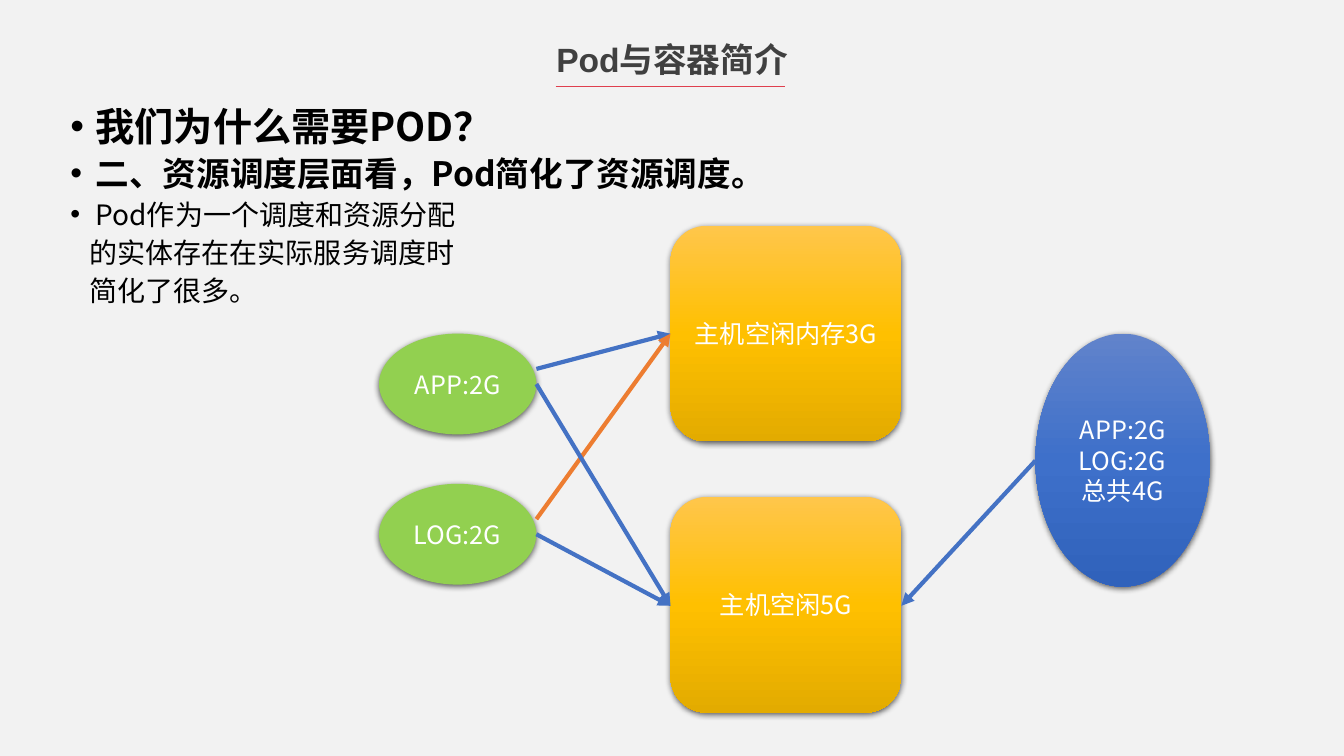
from lxml import etree
from pptx import Presentation
from pptx.dml.color import RGBColor
from pptx.enum.shapes import MSO_CONNECTOR, MSO_SHAPE
from pptx.enum.text import MSO_ANCHOR, PP_ALIGN
from pptx.oxml import parse_xml
from pptx.oxml.ns import nsdecls, qn
from pptx.util import Inches, Pt

ROUNDED = MSO_SHAPE.ROUNDED_RECTANGLE
OVAL = MSO_SHAPE.OVAL
STRAIGHT = MSO_CONNECTOR.STRAIGHT
CENTER = PP_ALIGN.CENTER
MIDDLE = MSO_ANCHOR.MIDDLE

CJK_FONT = "Noto Sans CJK SC"
COLORS = {
    "background": "F2F2F2",
    "title": "404040",
    "rule": "DF3F4E",
    "text": "000000",
    "label": "FFFFFF",
    "pod": "92D050",
    "blue": "4472C4",
    "orange": "ED7D31",
}
HOST_GRADIENT = ("FFC64B", "FFC000", "E3AB00")
GROUP_GRADIENT = ("6183CB", "3E70CA", "3062BB")


def rgb(name):
    return RGBColor.from_string(COLORS[name])


def write(para, text, size, color, font=CJK_FONT, bold=False, **formats):
    for name, value in formats.items():
        setattr(para, name, value)
    span = para.add_run()
    span.text = text
    for name, value in {"size": Pt(size), "bold": bold, "name": font}.items():
        setattr(span.font, name, value)
    span.font.color.rgb = rgb(color)
    east_asian = etree.SubElement(span.font._element, qn("a:ea"))
    east_asian.set("typeface", CJK_FONT)


def add_text_box(page, left, top, width, height):
    box = page.shapes.add_textbox(*map(Inches, (left, top, width, height)))
    box.text_frame.word_wrap = True
    return box.text_frame


def add_body(page, lines):
    frame = add_text_box(page, 0.6, 1.06, 12.13, 6)
    for index, (text, size, bold, bulleted) in enumerate(lines):
        para = frame.add_paragraph() if index else frame.paragraphs[0]
        write(para, text, size, "text", bold=bold, line_spacing=0.8, space_before=Pt(8))
        properties = para._p.get_or_add_pPr()
        properties.set("marL", str(Inches(0.25 if bulleted else 0.19)))
        properties.set("indent", str(Inches(-0.25 if bulleted else 0)))
        if bulleted:
            etree.SubElement(properties, qn("a:buFont")).set("typeface", "Arial")
            etree.SubElement(properties, qn("a:buChar")).set("char", "•")


def fill_gradient(shape, colors):
    stops = "".join(
        f'<a:gs pos="{index * 50000}"><a:srgbClr val="{color}"/></a:gs>'
        for index, color in enumerate(colors)
    )
    gradient = parse_xml(
        f'<a:gradFill {nsdecls("a")} rotWithShape="1"><a:gsLst>{stops}</a:gsLst>'
        '<a:lin ang="5400000" scaled="0"/></a:gradFill>'
    )
    shape._element.spPr.find(qn("a:prstGeom")).addnext(gradient)


def add_shadow(shape):
    shape.shadow.inherit = False
    shape._element.spPr.find(qn("a:effectLst")).append(parse_xml(
        f'<a:outerShdw {nsdecls("a")} blurRad="{Pt(4.5)}" dist="{Pt(1.5)}" '
        'dir="5400000" algn="ctr" rotWithShape="0">'
        '<a:srgbClr val="000000"><a:alpha val="63000"/></a:srgbClr></a:outerShdw>'
    ))


def add_node(page, kind, place, labels, gradient=None):
    node = page.shapes.add_shape(kind, *map(Inches, place))
    if gradient:
        fill_gradient(node, gradient)
    else:
        node.fill.solid()
        node.fill.fore_color.rgb = rgb("pod")
    node.line.fill.background()
    add_shadow(node)
    frame = node.text_frame
    frame.vertical_anchor = MIDDLE
    for index, label in enumerate(labels):
        para = frame.add_paragraph() if index else frame.paragraphs[0]
        write(para, label, 18, "label", alignment=CENTER)


def add_line(page, start, end, color, width, arrow=False):
    line = page.shapes.add_connector(STRAIGHT, *map(Inches, (*start, *end)))
    line.line.color.rgb = rgb(color)
    line.line.width = Pt(width)
    properties = line._element.spPr
    if arrow:
        outline = properties.find(qn("a:ln"))
        etree.SubElement(outline, qn("a:tailEnd")).set("type", "triangle")
    etree.SubElement(properties, qn("a:effectLst"))


def main():
    deck = Presentation()
    deck.slide_width, deck.slide_height = Inches(13.33), Inches(7.5)
    page = deck.slides.add_slide(deck.slide_layouts[6])
    page.background.fill.solid()
    page.background.fill.fore_color.rgb = rgb("background")

    title = add_text_box(page, 4.52, 0.34, 4.29, 0.5)
    write(title.paragraphs[0], "Pod与容器简介", 24, "title", "Arial", True, alignment=CENTER)
    add_line(page, (5.51, 0.86), (7.79, 0.86), "rule", 0.5)

    add_body(page, [
        ("我们为什么需要POD？", 28, True, True),
        ("二、资源调度层面看，Pod简化了资源调度。", 24, True, True),
        ("Pod作为一个调度和资源分配", 20, False, True),
        ("的实体存在在实际服务调度时", 20, False, False),
        ("简化了很多。", 20, False, False),
    ])

    for top, label in ((2.24, "主机空闲内存3G"), (4.93, "主机空闲5G")):
        add_node(page, ROUNDED, (6.65, top, 2.29, 2.14), [label], HOST_GRADIENT)
    for top, label in ((3.31, "APP:2G"), (4.8, "LOG:2G")):
        add_node(page, OVAL, (3.76, top, 1.56, 1), [label])
    group_labels = ["APP:2G", "LOG:2G", "总共4G"]
    add_node(page, OVAL, (10.27, 3.31, 1.73, 2.51), group_labels, GROUP_GRADIENT)

    upper_host, lower_host = (6.65, 3.31), (6.65, 6.01)
    for start, end, color in (
        ((5.32, 3.66), upper_host, "blue"),
        ((5.32, 5.15), upper_host, "orange"),
        ((5.32, 3.81), lower_host, "blue"),
        ((5.32, 5.3), lower_host, "blue"),
        ((10.27, 4.57), (8.94, 6.01), "blue"),
    ):
        add_line(page, start, end, color, 3, arrow=True)

    deck.save("out.pptx")


if __name__ == "__main__":
    main()
